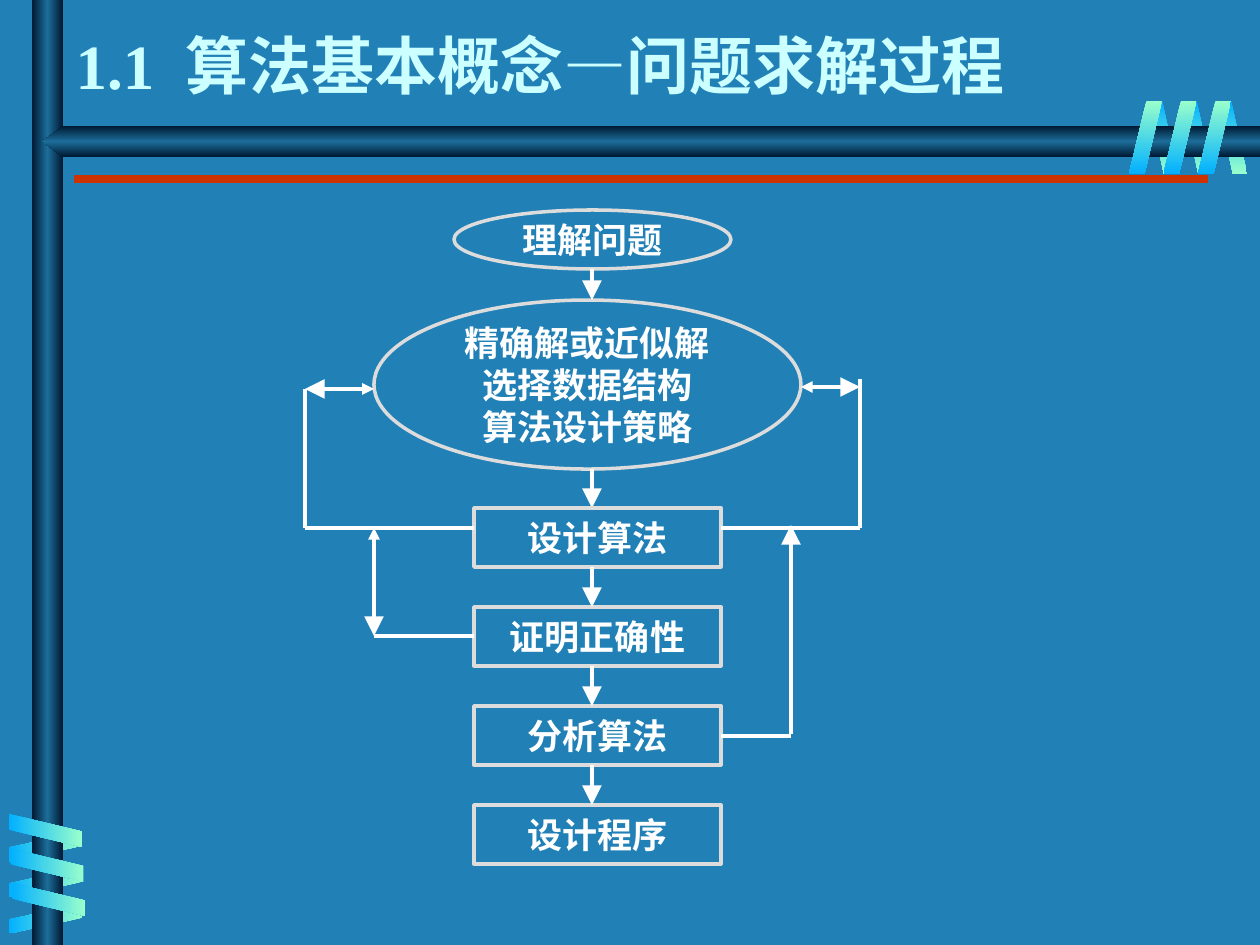
import copy
import itertools
from dataclasses import dataclass

import pptx
import pptx.dml.color
import pptx.enum.shapes
import pptx.enum.text
import pptx.oxml
import pptx.oxml.ns
import pptx.util

SHAPE = pptx.enum.shapes.MSO_SHAPE
ANCHOR = pptx.enum.text.MSO_ANCHOR
ALIGN = pptx.enum.text.PP_ALIGN
qn = pptx.oxml.ns.qn


@dataclass(frozen=True)
class Theme:
    background: str = "2181B7"
    title: str = "CCFFFF"
    text: str = "FFFFFF"
    outline: str = "DCDCDC"
    rule: str = "CC3300"
    bar: tuple = ("001932", "1C6D9A", "001932")
    coil: tuple = ("01B0FF", "99FFCC")
    title_size: int = 36
    node_size: int = 20
    title_font: str = "Times New Roman"
    sans: str = "Arial"
    box_font: str = "Karla"


THEME = Theme()


def px(n):
    return round(n * 914400 / 126)


def rgb(value):
    return pptx.dml.color.RGBColor.from_string(value)


def add_text(p, text, *, size, color, font, bold=True, spacing=None):
    r = p.add_run()
    r.text = text
    r.font.size = pptx.util.Pt(size)
    r.font.bold = bold
    r.font.name = font
    r.font.color.rgb = rgb(color)
    if spacing:
        r.font._element.set("spc", str(spacing))


def add_gradient_shape(s, kind, box, colors, angle, adj=None, rotation=0, flip=False):
    sp = s.shapes.add_shape(kind, *map(px, box))
    sp.shadow.inherit = False
    sp.line.fill.background()
    sp.rotation = rotation
    if adj is not None:
        sp.adjustments[0] = adj
    if flip:
        sp._element.spPr.find(qn("a:xfrm")).set("flipH", "1")
    sp.fill.gradient()
    sp.fill.gradient_angle = (360 - angle) % 360
    grad = sp._element.spPr.find(qn("a:gradFill"))
    grad.set("rotWithShape", "0")
    stops = grad.find(qn("a:gsLst"))
    for _ in colors[2:]:
        stops.append(copy.deepcopy(stops[0]))
    for i, (stop, color) in enumerate(zip(sp.fill.gradient_stops, colors)):
        stop.position = i / (len(colors) - 1)
        stop.color.rgb = rgb(color)


def add_coil(s, boxes, colors, angle, rotation=0, flip=False):
    for box in boxes:
        add_gradient_shape(s, SHAPE.PARALLELOGRAM, box, colors, angle, 0.53, rotation, flip)


def add_line(s, start, end, color=THEME.text, width=2.25, head=False, tail=False):
    c = s.shapes.add_connector(
        pptx.enum.shapes.MSO_CONNECTOR.STRAIGHT, *map(px, (*start, *end)))
    c.line.color.rgb = rgb(color)
    c.line.width = pptx.util.Pt(width)
    ln = c.line._get_or_add_ln()
    for on, tag, size in ((head, "a:headEnd", "med"), (tail, "a:tailEnd", "lg")):
        if on:
            end_mark = pptx.oxml.ns.qn(tag)
            ln.append(ln.makeelement(end_mark, {"type": "triangle", "w": size, "len": size}))
    spPr = c._element.spPr
    spPr.append(spPr.makeelement(qn("a:effectLst"), {}))


def add_route(s, *points):
    for start, end in itertools.pairwise(points):
        add_line(s, start, end)


def add_node(s, kind, box, lines, font):
    sp = s.shapes.add_shape(kind, *map(px, box))
    sp.shadow.inherit = False
    sp.fill.solid()
    sp.fill.fore_color.rgb = rgb(THEME.background)
    sp.line.color.rgb = rgb(THEME.outline)
    sp.line.width = pptx.util.Pt(2)
    tf = sp.text_frame
    tf.word_wrap = False
    tf.vertical_anchor = ANCHOR.MIDDLE
    for i, line in enumerate(lines):
        p = tf.add_paragraph() if i else tf.paragraphs[0]
        p.alignment = ALIGN.CENTER
        add_text(p, line, size=THEME.node_size, color=THEME.text, font=font)


def add_title(s):
    sp = s.shapes.title
    sp.left, sp.top, sp.width, sp.height = map(px, (63, 0, 1134, 108))
    tf = sp.text_frame
    tf.word_wrap = True
    tf.vertical_anchor = ANCHOR.BOTTOM
    p = tf.paragraphs[0]
    p.alignment = ALIGN.LEFT
    for text, font, spacing in (
        ("1.1", THEME.title_font, None),
        (" ", THEME.title_font, 900),
        ("算法基本概念", THEME.title_font, None),
        ("—", THEME.sans, None),
        ("问题求解过程", THEME.title_font, None),
    ):
        add_text(p, text, size=THEME.title_size, color=THEME.title, font=font, spacing=spacing)


def add_frame(s):
    blue_green = THEME.coil
    green_blue = THEME.coil[::-1]
    steps = range(3)
    add_coil(s, [(1217 - 34.5 * i, 101, 30, 73) for i in steps], blue_green, 90, 180, True)
    add_coil(s, [(31, 810 + 36 * i, 30, 73) for i in steps], green_blue, 0, 90, True)
    add_gradient_shape(s, SHAPE.RECTANGLE, (32, 0, 31, 945), THEME.bar, 0)
    add_gradient_shape(s, SHAPE.PENTAGON, (42, 126, 1218, 31), THEME.bar, 90, 0.68, flip=True)
    add_coil(s, [(29 + 1.5 * i, 794 + 34.5 * i, 33, 73) for i in steps], blue_green, 0, 270)
    add_coil(s, [(1198 - 34.5 * i, 101, 33, 73) for i in steps], green_blue, 90)
    add_line(s, (74, 179), (1208, 179), THEME.rule, 4.5)


def add_flowchart(s):
    left, right, axis = 474, 721, 592
    box_top, box_height, step = 508, 59, 99
    steps = ("设计算法", "证明正确性", "分析算法", "设计程序")

    add_node(s, SHAPE.OVAL, (454, 210, 277, 59), ["理解问题"], THEME.sans)
    add_node(s, SHAPE.OVAL, (374, 300, 427, 169),
             ["精确解或近似解", "选择数据结构", "算法设计策略"], THEME.sans)
    add_line(s, (axis, 269), (axis, 300), tail=True)
    add_line(s, (axis, 469), (axis, box_top), tail=True)
    for i, label in enumerate(steps):
        top = box_top + step * i
        font = THEME.box_font if i else THEME.sans
        add_node(s, SHAPE.RECTANGLE, (left, top, right - left, box_height), [label], font)
        if i:
            add_line(s, (axis, top - step + box_height), (axis, top), tail=True)

    add_line(s, (374, 389), (305, 389), head=True, tail=True)
    add_route(s, (305, 389), (305, 528), (left, 528))
    add_line(s, (801, 387), (860, 387), head=True, tail=True)
    add_route(s, (860, 379), (860, 528), (right, 528))
    add_route(s, (right, 736), (791, 736))
    add_line(s, (791, 734), (791, 525), tail=True)
    add_line(s, (374, 528), (374, 636), head=True, tail=True)
    add_route(s, (374, 636), (left, 636))


def main():
    prs = pptx.Presentation()
    prs.slide_width, prs.slide_height = px(1260), px(945)
    s = prs.slides.add_slide(prs.slide_layouts[5])
    s.background.fill.solid()
    s.background.fill.fore_color.rgb = rgb(THEME.background)
    add_frame(s)
    add_title(s)
    add_flowchart(s)
    prs.save("out.pptx")


if __name__ == "__main__":
    main()
